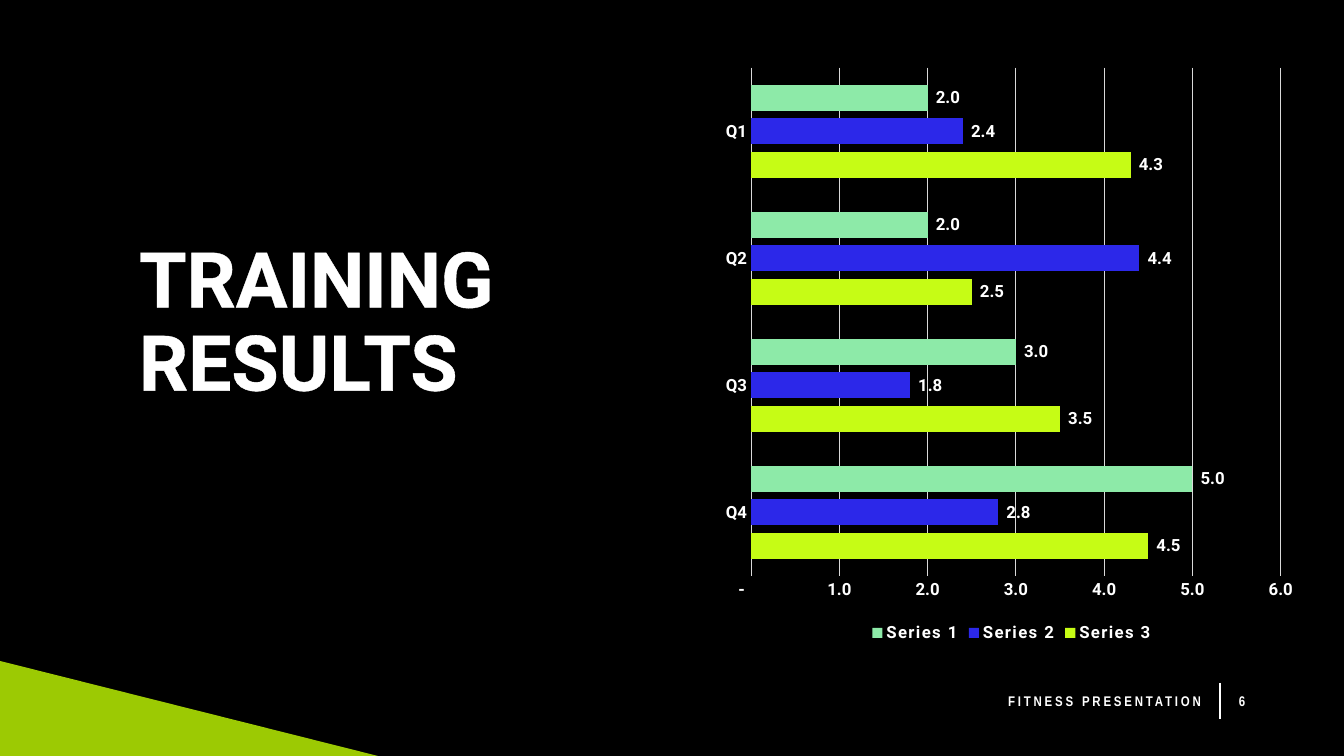
from lxml import etree
from pptx import Presentation
from pptx.chart.data import CategoryChartData
from pptx.dml.color import RGBColor
from pptx.enum.chart import XL_CHART_TYPE, XL_LABEL_POSITION, XL_LEGEND_POSITION, XL_TICK_MARK
from pptx.enum.shapes import MSO_CONNECTOR
from pptx.enum.text import MSO_ANCHOR, PP_ALIGN
from pptx.oxml.ns import qn
from pptx.util import Emu, Pt

EMU_PER_PX = 914400 / 100.8
BLACK = RGBColor(0x00, 0x00, 0x00)
WHITE = RGBColor(0xFF, 0xFF, 0xFF)
GRID_GREY = RGBColor(0xD9, 0xD9, 0xD9)
WEDGE_GREEN = RGBColor(0x9C, 0xCA, 0x03)
LIME = RGBColor(0xC6, 0xFC, 0x15)
BLUE = RGBColor(0x2C, 0x28, 0xE9)
MINT = RGBColor(0x8D, 0xEA, 0xA8)

BAR_CLUSTERED = XL_CHART_TYPE.BAR_CLUSTERED
OUTSIDE_END = XL_LABEL_POSITION.OUTSIDE_END
LEGEND_BOTTOM = XL_LEGEND_POSITION.BOTTOM
NO_TICK = XL_TICK_MARK.NONE
STRAIGHT = MSO_CONNECTOR.STRAIGHT
TOP, MIDDLE = MSO_ANCHOR.TOP, MSO_ANCHOR.MIDDLE
LEFT, RIGHT = PP_ALIGN.LEFT, PP_ALIGN.RIGHT

HEADING_FONT = "Roboto"
FOOTER_FONT = "Arial Narrow"
NUMBER_FORMAT = '_(* #,##0.0_);_(* \\(#,##0.0\\);_(* "-"??_);_(@_)'
QUARTERS = ["Q4", "Q3", "Q2", "Q1"]
RESULTS = [
    ("Series 3", [4.5, 3.5, 2.5, 4.3], LIME),
    ("Series 2", [2.8, 1.8, 4.4, 2.4], BLUE),
    ("Series 1", [5, 3, 2, 2], MINT),
]


def px(*lengths):
    return [Emu(round(length * EMU_PER_PX)) for length in lengths]


def style_font(font, name, size):
    font.name = name
    font.size = Pt(size)
    font.bold = True
    font.color.rgb = WHITE


def outline_run(run, width):
    properties = run.font._element
    line = etree.Element(qn("a:ln"), w=str(Pt(width)))
    fill = etree.SubElement(line, qn("a:solidFill"))
    etree.SubElement(fill, qn("a:srgbClr"), val=str(WHITE))
    properties.insert(0, line)


def add_text(slide, text, box, *, font, size, align=LEFT, anchor=MIDDLE,
             margins=(10, 5), line_spacing=None, letter_spacing=0, outline=0):
    frame = slide.shapes.add_textbox(*px(*box)).text_frame
    frame.word_wrap = True
    frame.vertical_anchor = anchor
    side, edge = px(*margins)
    frame.margin_left = frame.margin_right = side
    frame.margin_top = frame.margin_bottom = edge
    paragraph = frame.paragraphs[0]
    paragraph.text = text
    paragraph.alignment = align
    paragraph.line_spacing = line_spacing
    for run in paragraph.runs:
        style_font(run.font, font, size)
        if letter_spacing:
            run.font._element.set("spc", str(letter_spacing * 100))
        if outline:
            outline_run(run, outline)


def add_wedge(slide, points, color):
    builder = slide.shapes.build_freeform(*points[0], scale=EMU_PER_PX)
    builder.add_line_segments(points[1:], close=True)
    wedge = builder.convert_to_shape()
    wedge.shadow.inherit = False
    wedge.fill.solid()
    wedge.fill.fore_color.rgb = color
    wedge.line.fill.background()


def add_divider(slide, start, end):
    divider = slide.shapes.add_connector(STRAIGHT, *px(*start, *end))
    divider.line.color.rgb = WHITE
    divider.line.width = Pt(1)
    etree.SubElement(divider._element.spPr, qn("a:effectLst"))


def style_line(line, color):
    line.color.rgb = color
    line.width = Pt(0.75)


def style_axes(chart):
    for axis in (chart.category_axis, chart.value_axis):
        axis.major_tick_mark = axis.minor_tick_mark = NO_TICK
        style_font(axis.tick_labels.font, HEADING_FONT, 12)
    chart.category_axis.has_major_gridlines = False
    style_line(chart.category_axis.format.line, GRID_GREY)
    values = chart.value_axis
    values.minimum_scale, values.maximum_scale, values.major_unit = 0, 6, 1
    values.format.line.fill.background()
    values.has_major_gridlines = True
    style_line(values.major_gridlines.format.line, GRID_GREY)
    values.tick_labels.number_format = NUMBER_FORMAT
    values.tick_labels.number_format_is_linked = False


def style_series(series, color):
    series.format.fill.solid()
    series.format.fill.fore_color.rgb = color
    series.invert_if_negative = False
    labels = series.data_labels
    labels.show_value = True
    labels.position = OUTSIDE_END
    labels.number_format = NUMBER_FORMAT
    labels.number_format_is_linked = False
    style_font(labels.font, HEADING_FONT, 12)


def add_results_chart(slide, box):
    data = CategoryChartData(number_format=NUMBER_FORMAT)
    data.categories = QUARTERS
    for name, values, _ in RESULTS:
        data.add_series(name, values)
    chart = slide.shapes.add_chart(BAR_CLUSTERED, *px(*box), data).chart
    chart.has_title = False
    chart.font.name = FOOTER_FONT
    chart.font.size = Pt(10)
    chart.font.color.rgb = BLACK
    plot = chart.plots[0]
    plot.gap_width = 133
    plot.overlap = -30
    plot.vary_by_categories = False
    for series, (_, _, color) in zip(plot.series, RESULTS):
        style_series(series, color)
    style_axes(chart)
    chart.has_legend = True
    chart.legend.position = LEGEND_BOTTOM
    chart.legend.include_in_layout = False
    style_font(chart.legend.font, HEADING_FONT, 12)
    chart.legend.font._element.set("spc", "100")


def main():
    presentation = Presentation()
    presentation.slide_width, presentation.slide_height = px(1344, 756)
    slide = presentation.slides.add_slide(presentation.slide_layouts[6])
    slide.background.fill.solid()
    slide.background.fill.fore_color.rgb = BLACK

    add_divider(slide, (1220, 683), (1220, 719))
    add_wedge(slide, [(0, 661), (378, 756), (0, 756)], WEDGE_GREEN)
    add_text(slide, "TRAINING\vRESULTS", (139, 241, 603, 203), font=HEADING_FONT,
             size=55, anchor=TOP, margins=(0, 0), line_spacing=0.9, outline=2)
    add_results_chart(slide, (714, 56, 595, 591))
    footer = {"font": FOOTER_FONT, "size": 10, "letter_spacing": 2}
    add_text(slide, "FITNESS PRESENTATION", (782, 681, 429, 40), align=RIGHT, **footer)
    add_text(slide, "6", (1229, 681, 48, 40), **footer)
    presentation.save("out.pptx")


if __name__ == "__main__":
    main()
